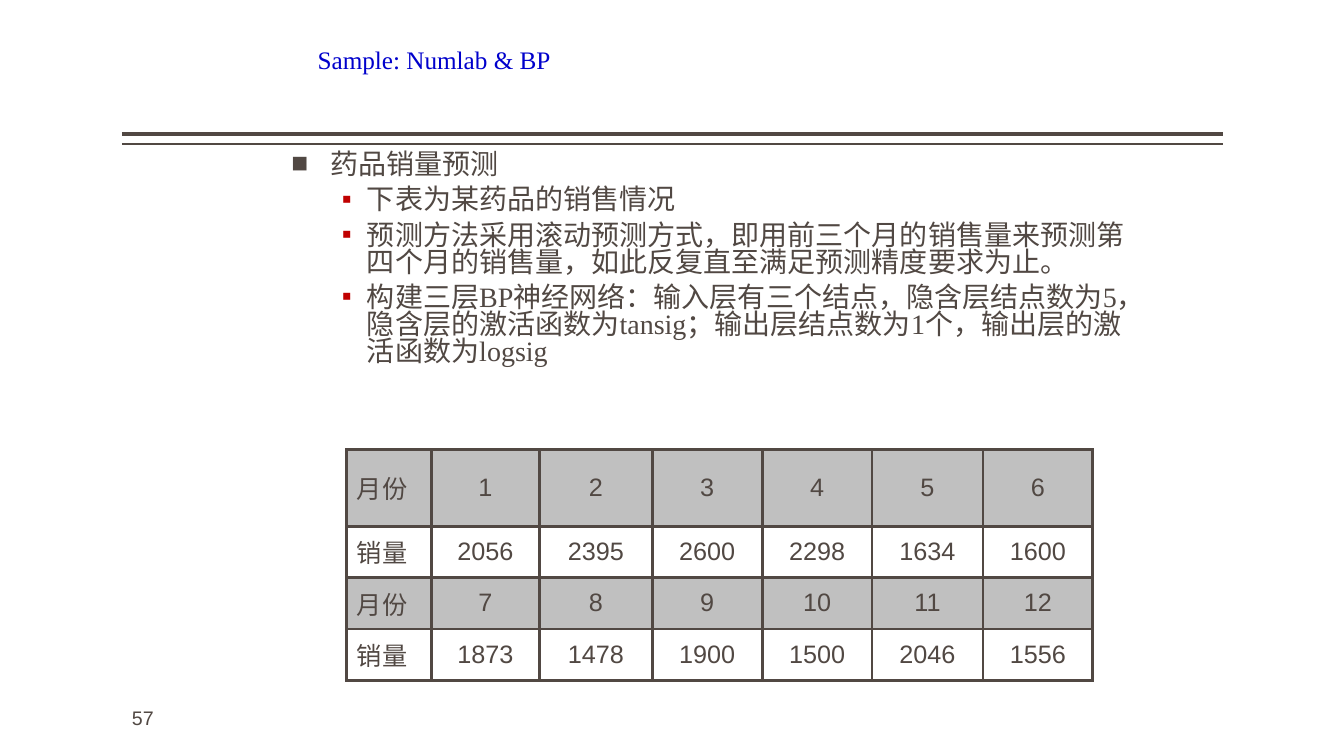
"""Build the slide on forecasting medicine sales with a BP network."""
from pptx import Presentation
from pptx.dml.color import RGBColor
from pptx.enum.shapes import MSO_CONNECTOR
from pptx.enum.text import MSO_ANCHOR, MSO_AUTO_SIZE, PP_ALIGN
from pptx.oxml.xmlchemy import OxmlElement
from pptx.util import Inches, Pt

BROWN = RGBColor(0x51, 0x48, 0x43)
BLUE = RGBColor(0x00, 0x00, 0xCC)
RED = RGBColor(0xC0, 0x00, 0x00)
GREY = RGBColor(0xC0, 0xC0, 0xC0)
STRAIGHT = MSO_CONNECTOR.STRAIGHT
MIDDLE, TOP = MSO_ANCHOR.MIDDLE, MSO_ANCHOR.TOP
LEFT, CENTER = PP_ALIGN.LEFT, PP_ALIGN.CENTER
NO_FIT = MSO_AUTO_SIZE.NONE
SERIF, SANS = "Times New Roman", "Arial"


def add_xml(parent, tag, **attributes):
    child = OxmlElement(tag)
    for name, value in attributes.items():
        child.set(name, str(value))
    parent.append(child)
    return child


def write(p, text, size, font, color):
    r = p.add_run()
    r.text = text
    r.font.color.rgb = color
    for name, value in {"size": Pt(size), "name": font}.items():
        setattr(r.font, name, value)


prs = Presentation()
prs.slide_width, prs.slide_height = Inches(13.33), Inches(7.5)
s = prs.slides.add_slide(prs.slide_layouts[5])

for y, width in [(1.33, 3), (1.43, 1)]:
    rule = s.shapes.add_connector(STRAIGHT, Inches(1.21), Inches(y), Inches(12.13), Inches(y))
    rule.line.color.rgb = BROWN
    rule.line.width = Pt(width)
    add_xml(rule._element.spPr, "a:effectLst")

title = s.shapes.title
title.left, title.top, title.width, title.height = [Inches(v) for v in (3.05, 0.05, 8.5, 1.08)]
tf = title.text_frame
for name, value in {"word_wrap": True, "auto_size": NO_FIT, "vertical_anchor": MIDDLE}.items():
    setattr(tf, name, value)
tf.paragraphs[0].alignment = LEFT
write(tf.paragraphs[0], "Sample: Numlab & BP", 18, SERIF, BLUE)

number = s.shapes.add_textbox(Inches(1.21), Inches(6.95), Inches(2), Inches(0.4))
number.text_frame.word_wrap = True
write(number.text_frame.paragraphs[0], "57", 14, SANS, BROWN)

body = s.shapes.add_textbox(Inches(2.89), Inches(1.47), Inches(8.5), Inches(2.99))
tf = body.text_frame
body_format = {"word_wrap": True, "auto_size": NO_FIT, "vertical_anchor": TOP,
               "margin_left": 0, "margin_right": 0}
for name, value in body_format.items():
    setattr(tf, name, value)

levels = [
    {"indent": 0.39, "hanging": 0.39, "before": 18, "bullet": "■", "color": BROWN},
    {"indent": 0.75, "hanging": 0.25, "before": 6, "bullet": "▪", "color": RED},
]
points = [
    (0, "药品销量预测"),
    (1, "下表为某药品的销售情况"),
    (1, "预测方法采用滚动预测方式，即用前三个月的销售量来预测第四个月的销售量，如此反复直至满足预测精度要求为止。"),
    (1, "构建三层BP神经网络：输入层有三个结点，隐含层结点数为5，隐含层的激活函数为tansig；"
        "输出层结点数为1个，输出层的激活函数为logsig"),
]
for i, (level, text) in enumerate(points):
    p = tf.add_paragraph() if i else tf.paragraphs[0]
    look = levels[level]
    p.level = level
    p.line_spacing = 0.8
    p.space_before = Pt(look["before"])
    pPr = p._p.get_or_add_pPr()
    pPr.set("marL", str(Inches(look["indent"])))
    pPr.set("indent", str(-Inches(look["hanging"])))
    add_xml(add_xml(pPr, "a:buClr"), "a:srgbClr", val=look["color"])
    add_xml(pPr, "a:buFont", typeface=SANS)
    add_xml(pPr, "a:buChar", char=look["bullet"])
    write(p, text, 20, SERIF, BROWN)

sales = [
    ["月份", 1, 2, 3, 4, 5, 6],
    ["销量", 2056, 2395, 2600, 2298, 1634, 1600],
    ["月份", 7, 8, 9, 10, 11, 12],
    ["销量", 1873, 1478, 1900, 1500, 2046, 1556],
]
col_widths = [0.84, 1.07, 1.12, 1.09, 1.09, 1.1, 1.09]
row_heights = [0.76, 0.51, 0.51, 0.51]
table = s.shapes.add_table(len(sales), len(col_widths), Inches(3.44), Inches(4.46),
                           Inches(7.4), Inches(2.28)).table
table.first_row = table.horz_banding = False
for column, width in zip(table.columns, col_widths):
    column.width = Inches(width)
for row, height in zip(table.rows, row_heights):
    row.height = Inches(height)
for i, values in enumerate(sales):
    for j, value in enumerate(values):
        cell = table.cell(i, j)
        cell.vertical_anchor = MIDDLE
        for side in "LRTB":
            border = add_xml(cell._tc.get_or_add_tcPr(), f"a:ln{side}", w=Pt(2.25))
            add_xml(add_xml(border, "a:solidFill"), "a:srgbClr", val=BROWN)
        if i % 2:
            cell.fill.background()
        else:
            cell.fill.solid()
            cell.fill.fore_color.rgb = GREY
        p = cell.text_frame.paragraphs[0]
        p.alignment = CENTER if j else LEFT
        write(p, str(value), 18, SANS, BROWN)

prs.save("out.pptx")
